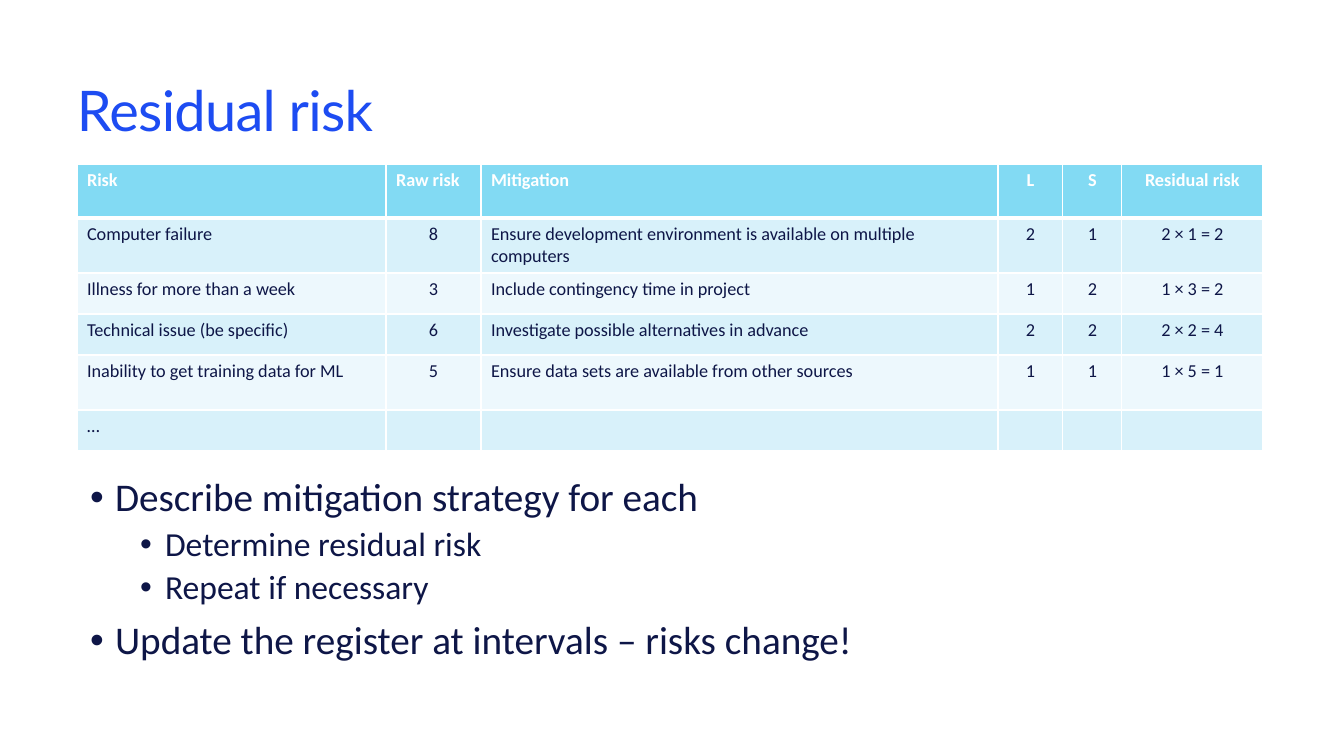
from dataclasses import dataclass

from lxml.etree import SubElement
from pptx import Presentation
from pptx.dml.color import RGBColor
from pptx.enum.text import MSO_ANCHOR, MSO_AUTO_SIZE, PP_ALIGN
from pptx.oxml import parse_xml
from pptx.oxml.ns import nsdecls, qn
from pptx.util import Pt

EMU_PER_PX = 914400 / 100.8


@dataclass(frozen=True)
class Theme:
    title_font: str = "Lato"
    body_font: str = "Calibri"
    title_color: str = "1D4CF2"
    ink: str = "0E1647"
    white: str = "FFFFFF"
    header_fill: str = "82DAF3"
    band_fills: tuple[str, str] = ("D8F1FA", "EDF8FD")
    title_size: int = 40
    table_size: int = 13
    bullet_sizes: tuple[int, int] = (28, 24)


@dataclass(frozen=True)
class Box:
    left: int
    top: int
    width: int
    height: int


@dataclass(frozen=True)
class Column:
    heading: str
    width: int
    heading_align: PP_ALIGN
    align: PP_ALIGN


@dataclass(frozen=True)
class RiskRow:
    height: int
    values: tuple[str, ...]


@dataclass(frozen=True)
class Bullet:
    text: str
    level: int = 0


THEME = Theme()
LEFT, CENTER = PP_ALIGN.LEFT, PP_ALIGN.CENTER
SLIDE_WIDTH, SLIDE_HEIGHT = 1344, 756
TITLE_BOX = Box(77, 40, 1190, 146)
TABLE_BOX = Box(77, 164, 1186, 287)
BULLET_BOX = Box(80, 473, 943, 181)
HEADER_HEIGHT = 54
BULLET_HANG, LEVEL_STEP = 25, 50

COLUMNS = [
    Column("Risk", 309, LEFT, LEFT),
    Column("Raw risk", 95, LEFT, CENTER),
    Column("Mitigation", 517, LEFT, LEFT),
    Column("L", 65, CENTER, CENTER),
    Column("S", 59, CENTER, CENTER),
    Column("Residual risk", 141, CENTER, CENTER),
]
RISKS = [
    RiskRow(55, ("Computer failure", "8",
                 "Ensure development environment is available on multiple computers",
                 "2", "1", "2 × 1 = 2")),
    RiskRow(41, ("Illness for more than a week", "3",
                 "Include contingency time in project", "1", "2", "1 × 3 = 2")),
    RiskRow(41, ("Technical issue (be specific)", "6",
                 "Investigate possible alternatives in advance", "2", "2", "2 × 2 = 4")),
    RiskRow(55, ("Inability to get training data for ML", "5",
                 "Ensure data sets are available from other sources", "1", "1", "1 × 5 = 1")),
    RiskRow(41, ("…", "", "", "", "", "")),
]
BULLETS = [
    Bullet("Describe mitigation strategy for each"),
    Bullet("Determine residual risk", 1),
    Bullet("Repeat if necessary", 1),
    Bullet("Update the register at intervals – risks change!"),
]


def px(length: int) -> int:
    return round(length * EMU_PER_PX)


def place(shape, box: Box) -> None:
    shape.left, shape.top = px(box.left), px(box.top)
    shape.width, shape.height = px(box.width), px(box.height)


def write_text(paragraph, text: str, *, size: int, color: str,
               font: str = THEME.body_font, bold: bool = False,
               align: PP_ALIGN = LEFT, line_spacing: float = 1.0,
               space_before: int = 0, tracking: int = 0) -> None:
    paragraph.alignment = align
    paragraph.line_spacing = line_spacing
    paragraph.space_before = Pt(space_before)
    run = paragraph.add_run()
    run.text = text
    run.font.name, run.font.size, run.font.bold = font, Pt(size), bold
    run.font.color.rgb = RGBColor.from_string(color)
    if tracking:
        run.font._element.set("spc", str(tracking))


def draw_title(slide) -> None:
    title = slide.shapes.title
    place(title, TITLE_BOX)
    frame = title.text_frame
    frame.auto_size = MSO_AUTO_SIZE.NONE
    frame.vertical_anchor = MSO_ANCHOR.MIDDLE
    frame.margin_left = frame.margin_right = frame.margin_top = frame.margin_bottom = 0
    write_text(frame.paragraphs[0], "Residual risk", size=THEME.title_size,
               color=THEME.title_color, font=THEME.title_font,
               line_spacing=0.9, tracking=-50)


def set_borders(cell, top: int, bottom: int) -> None:
    properties = cell._tc.get_or_add_tcPr()
    widths = {"lnL": 1, "lnR": 1, "lnT": top, "lnB": bottom}
    for position, (side, width) in enumerate(widths.items()):
        properties.insert(position, parse_xml(
            f'<a:{side} {nsdecls("a")} w="{Pt(width)}"><a:solidFill>'
            f'<a:srgbClr val="{THEME.white}"/></a:solidFill></a:{side}>'))


def fill_cell(cell, text: str, fill: str, color: str, align: PP_ALIGN,
              bold: bool = False) -> None:
    cell.fill.solid()
    cell.fill.fore_color.rgb = RGBColor.from_string(fill)
    if text:
        write_text(cell.text_frame.paragraphs[0], text, size=THEME.table_size,
                   color=color, bold=bold, align=align)


def draw_risk_table(slide) -> None:
    frame = slide.shapes.add_table(len(RISKS) + 1, len(COLUMNS), 0, 0, 0, 0)
    place(frame, TABLE_BOX)
    table = frame.table
    table.rows[0].height = px(HEADER_HEIGHT)
    for index, column in enumerate(COLUMNS):
        table.columns[index].width = px(column.width)
        header = table.cell(0, index)
        fill_cell(header, column.heading, THEME.header_fill, THEME.white,
                  column.heading_align, bold=True)
        set_borders(header, top=1, bottom=3)
    for number, risk in enumerate(RISKS, start=1):
        table.rows[number].height = px(risk.height)
        fill = THEME.band_fills[(number - 1) % 2]
        for index, (column, value) in enumerate(zip(COLUMNS, risk.values)):
            cell = table.cell(number, index)
            fill_cell(cell, value, fill, THEME.ink, column.align)
            set_borders(cell, top=3 if number == 1 else 1, bottom=1)


def draw_bullets(slide) -> None:
    body = slide.placeholders[1]
    place(body, BULLET_BOX)
    frame = body.text_frame
    frame.auto_size = MSO_AUTO_SIZE.NONE
    for index, bullet in enumerate(BULLETS):
        paragraph = frame.add_paragraph() if index else frame.paragraphs[0]
        paragraph.level = bullet.level
        write_text(paragraph, bullet.text, size=THEME.bullet_sizes[bullet.level],
                   color=THEME.ink, line_spacing=0.9,
                   space_before=5 if bullet.level else 10)
        properties = paragraph._p.get_or_add_pPr()
        properties.set("marL", str(px(BULLET_HANG + LEVEL_STEP * bullet.level)))
        properties.set("indent", str(px(-BULLET_HANG)))
        SubElement(properties, qn("a:buFont"), typeface="Arial")
        SubElement(properties, qn("a:buChar"), char="•")


def main() -> None:
    presentation = Presentation()
    presentation.slide_width = px(SLIDE_WIDTH)
    presentation.slide_height = px(SLIDE_HEIGHT)
    slide = presentation.slides.add_slide(presentation.slide_layouts[1])
    draw_title(slide)
    draw_risk_table(slide)
    draw_bullets(slide)
    presentation.save("out.pptx")


if __name__ == "__main__":
    main()
